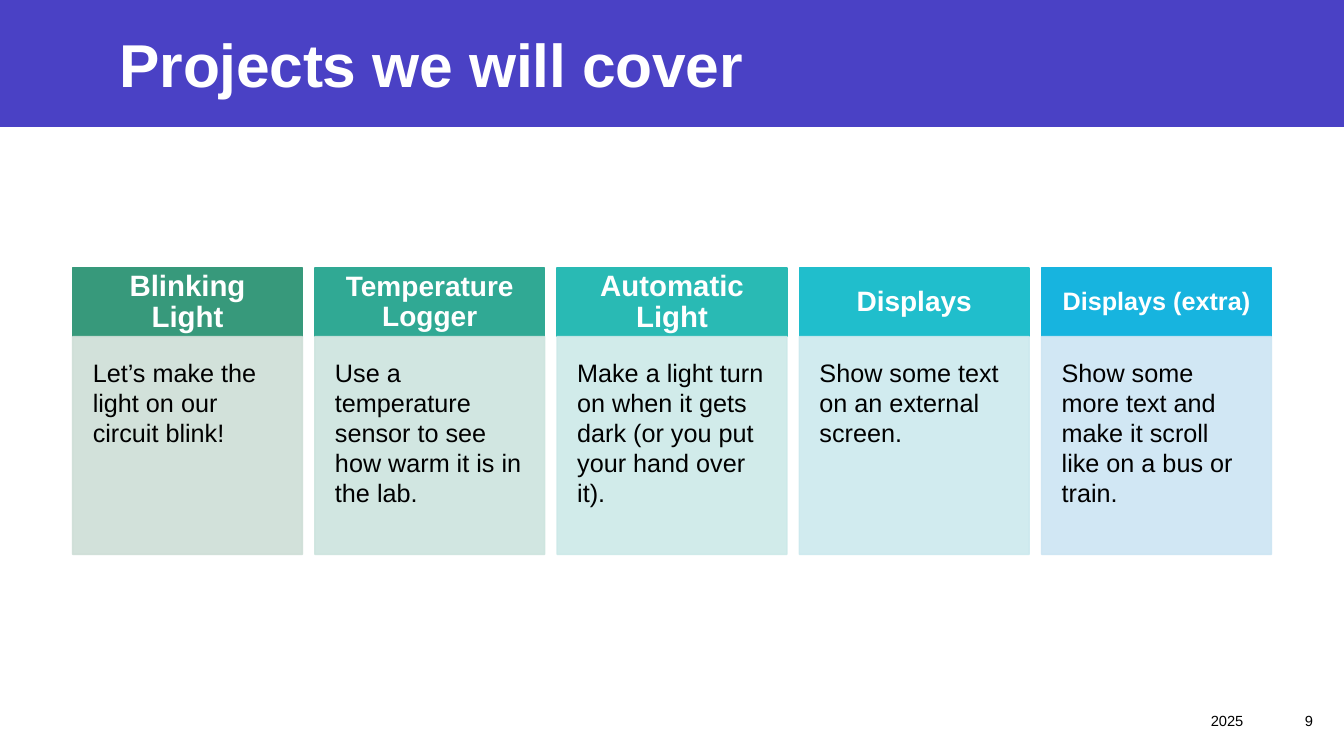
from lxml import etree
from pptx import Presentation
from pptx.dml.color import RGBColor
from pptx.enum.shapes import MSO_SHAPE
from pptx.enum.text import MSO_ANCHOR as Anchor, PP_ALIGN as Align
from pptx.oxml.ns import qn
from pptx.util import Inches, Pt


def color(value):
    return RGBColor.from_string(value)


def add_box(box, text="", fill=None, inset=0.1, anchor=Anchor.MIDDLE, align=Align.LEFT,
            line_spacing=1.0, **font_format):
    """Add a filled rectangle, or a text box when no fill is given."""
    box = [Inches(length) for length in box]
    if fill:
        shape = slide.shapes.add_shape(MSO_SHAPE.RECTANGLE, *box)
        shape.shadow.inherit = False
        shape.fill.solid()
        shape.fill.fore_color.rgb = color(fill)
        shape.line.fill.background()
    else:
        shape = slide.shapes.add_textbox(*box)
    frame = shape.text_frame
    frame.word_wrap = True
    frame.vertical_anchor = anchor
    frame.margin_left = frame.margin_right = Inches(inset)
    frame.margin_top = frame.margin_bottom = Inches(min(inset, 0.2) if inset > 0.1 else 0.05)
    if text:
        paragraph = frame.paragraphs[0]
        paragraph.alignment = align
        paragraph.line_spacing = line_spacing
        run = paragraph.add_run()
        run.text = text
        run.font.color.rgb = color(font_format.pop("ink", "000000"))
        for name, value in {"name": "Arial", **font_format}.items():
            setattr(run.font, name, value)
    return shape


presentation = Presentation()
presentation.slide_width = Inches(13.33)
presentation.slide_height = Inches(7.5)
slide = presentation.slides.add_slide(presentation.slide_layouts[6])

add_box((0, 0, 13.33, 1.26), fill="4A41C5")
title = add_box((1.09, 0.21, 10.96, 0.83), "Projects we will cover",
                ink="FFFFFF", size=Pt(43.2), bold=True)
title.text_frame.paragraphs[0].runs[0].font._element.set("spc", "-20")

projects = [
    ("Blinking Light", 21, "37997B", "CEDED7",
     "Let’s make the light on our circuit blink!"),
    ("Temperature Logger", 20, "30A994", "CDE4DE",
     "Use a temperature sensor to see how warm it is in the lab."),
    ("Automatic Light", 21, "29BAB4", "CCE9E8",
     "Make a light turn on when it gets dark (or you put your hand over it)."),
    ("Displays", 20, "20BECC", "CCE9EE",
     "Show some text on an external screen."),
    ("Displays (extra)", 18, "17B4DF", "CCE5F3",
     "Show some more text and make it scroll like on a bus or train."),
]
LEFT, PITCH, WIDTH = 0.72, 2.4025, 2.28
for column, (name, size, dark, pale, description) in enumerate(projects):
    left = LEFT + column * PITCH
    header = add_box((left, 2.66, WIDTH, 0.68), name, dark, inset=0.18, align=Align.CENTER,
                     line_spacing=0.9, ink="FFFFFF", size=Pt(size), bold=True)
    body = add_box((left, 3.34, WIDTH, 2.16), description, pale, inset=0.2,
                   anchor=Anchor.TOP, size=Pt(18))
    for shape, tone in ((header, dark), (body, pale)):
        shape.line.color.rgb = color(tone)
        shape.line.width = Pt(1)
    for tone in body._element.spPr.iter(qn("a:srgbClr")):
        etree.SubElement(tone, qn("a:alpha"), val="90000")

for left, width, text in ((7.67, 4.76, "2025"), (12.43, 0.69, "9")):
    add_box((left, 6.95, width, 0.4), text, align=Align.RIGHT, size=Pt(10.5))

presentation.save("out.pptx")
